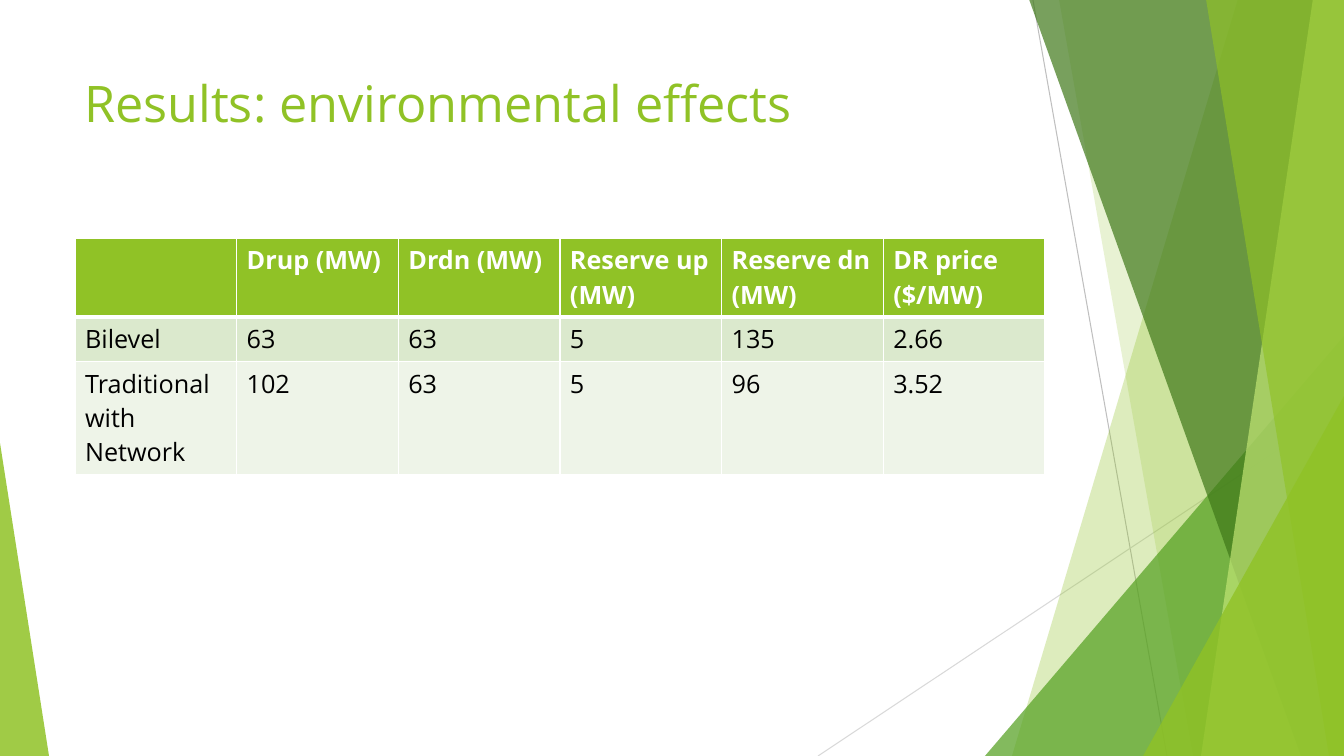
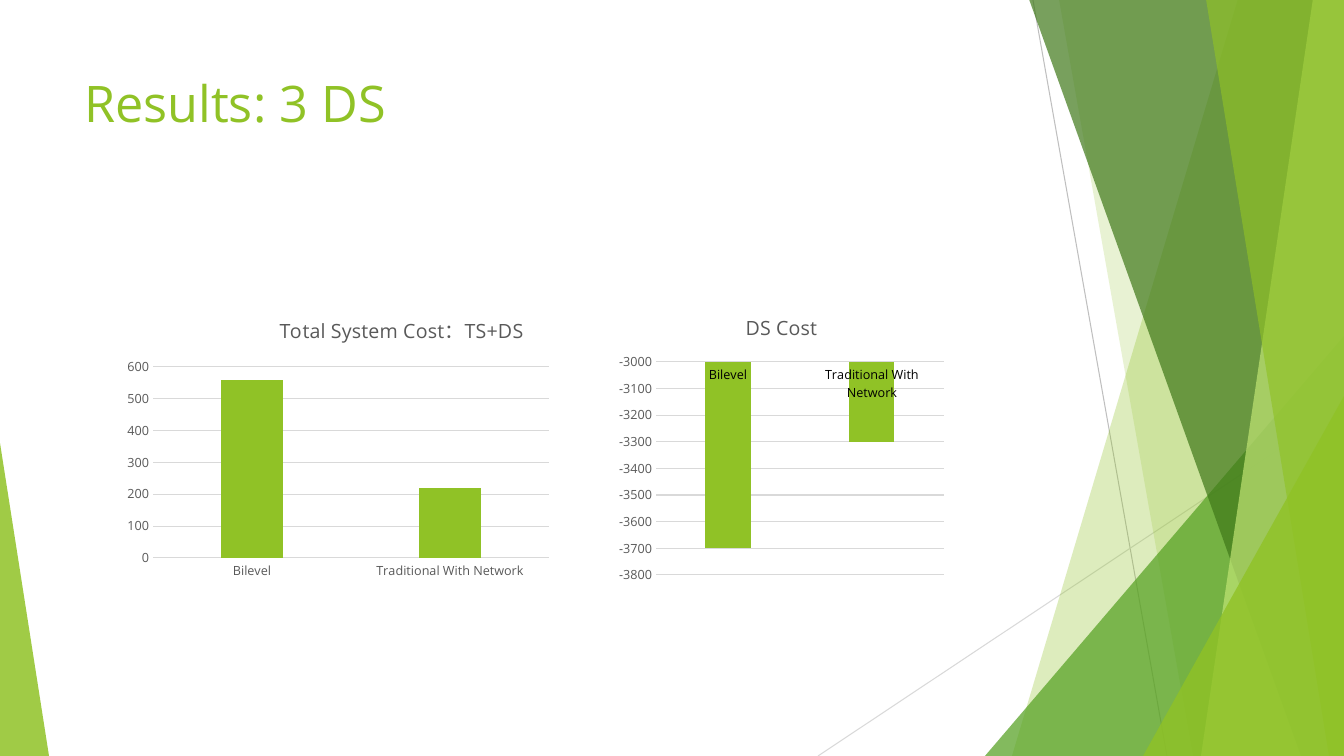
from dataclasses import dataclass

from lxml import etree
from pptx import Presentation
from pptx.chart.data import CategoryChartData
from pptx.dml.color import RGBColor
from pptx.enum.chart import XL_CHART_TYPE, XL_TICK_MARK
from pptx.enum.shapes import MSO_CONNECTOR, MSO_SHAPE
from pptx.enum.text import MSO_ANCHOR, PP_ALIGN
from pptx.oxml.ns import qn
from pptx.util import Pt

COLUMNS = XL_CHART_TYPE.COLUMN_CLUSTERED
NO_TICKS = XL_TICK_MARK.NONE
STRAIGHT = MSO_CONNECTOR.STRAIGHT
TRIANGLE = MSO_SHAPE.ISOSCELES_TRIANGLE
TOP = MSO_ANCHOR.TOP
LEFT = PP_ALIGN.LEFT

SCALE = 914400 / 100.8
WIDTH, HEIGHT = 1344, 756
TITLE_ONLY = 5
TITLE_BOX = (74, 67, 948, 145)


@dataclass(frozen=True)
class Theme:
    """Colours, font, type sizes and line widths of the deck."""
    font: str = "Open Sans"
    lime: str = "90C226"
    green: str = "54A021"
    forest: str = "3F7819"
    pale_lime: str = "C0E474"
    band_dark: str = "DBE9CD"
    band_light: str = "EEF4E8"
    white: str = "FFFFFF"
    black: str = "000000"
    gray: str = "595959"
    rule: str = "BFBFBF"
    grid: str = "D9D9D9"
    title_size: int = 36
    table_size: int = 18
    chart_title_size: int = 14
    chart_size: int = 10
    axis_size: int = 9
    hairline: float = 0.75
    cell_line: int = 1
    header_line: int = 3


THEME = Theme()


def px(length):
    """Turn pixels into EMU."""
    return round(length * SCALE)


def emu(box):
    """Turn a pixel box (left, top, width, height) into EMU."""
    return [px(length) for length in box]


def rgb(color):
    """Turn a hex string into a colour."""
    return RGBColor.from_string(color)


def style_font(font, size, color, bold=None):
    """Apply the deck font with a size, colour and weight."""
    font.name = THEME.font
    font.size = Pt(size)
    font.color.rgb = rgb(color)
    font.bold = bold


def style_line(line, color):
    """Give a line the deck's hairline weight."""
    line.color.rgb = rgb(color)
    line.width = Pt(THEME.hairline)


def paint(sp, color, opacity):
    """Fill a shape with a see-through colour, without outline or shadow."""
    sp.fill.solid()
    sp.fill.fore_color.rgb = rgb(color)
    clr = sp.element.find(".//" + qn("a:srgbClr"))
    etree.SubElement(clr, qn("a:alpha")).set("val", str(opacity * 1000))
    sp.line.fill.background()
    sp.shadow.inherit = False


def add_ray(shapes, start, end, color):
    """Draw a thin straight line."""
    ray = shapes.add_connector(STRAIGHT, *emu(start + end))
    style_line(ray.line, color)
    etree.SubElement(ray.element.find(qn("p:spPr")), qn("a:effectLst"))


def add_band(shapes, top_left, bottom_left, color, opacity):
    """Draw a full-height band from a slanted left edge to the right margin."""
    builder = shapes.build_freeform(top_left, -1, scale=SCALE)
    builder.add_line_segments(
        [(WIDTH, -1), (WIDTH, HEIGHT), (bottom_left, HEIGHT)])
    paint(builder.convert_to_shape(), color, opacity)


def add_wedge(shapes, left, top, width, apex, color, opacity):
    """Draw a right triangle standing on the bottom edge."""
    wedge = shapes.add_shape(
        TRIANGLE, *emu((left, top, width, HEIGHT - top)))
    wedge.adjustments[0] = apex
    paint(wedge, color, opacity)


def decorate_layout(layout, slide):
    """Group the facets on a slide, then hand the group to its layout."""
    group = slide.shapes.add_group_shape()
    shapes = group.shapes
    add_ray(shapes, (1033, 0), (1167, HEIGHT), THEME.rule)
    add_ray(shapes, (WIDTH, 406), (818, HEIGHT), THEME.grid)
    add_band(shapes, 1238, 1012, THEME.lime, 30)
    add_band(shapes, 1059, 1193, THEME.lime, 20)
    add_wedge(shapes, 985, 336, 359, 1, THEME.green, 72)
    add_band(shapes, 1029, 1301, THEME.forest, 70)
    add_band(shapes, 1313, 1201, THEME.pale_lime, 70)
    add_band(shapes, 1206, 1329, THEME.lime, 65)
    add_wedge(shapes, 1143, 396, 201, 1, THEME.lime, 80)
    add_wedge(shapes, 0, 443, 49, 0, THEME.lime, 85)
    tree = layout.shapes.element
    tree.insert(2, group.element)
    for number, node in enumerate(tree.iter(qn("p:cNvPr")), 1):
        node.set("id", str(number))


def set_title(slide, text, box):
    """Place, fill and format the title placeholder."""
    title = slide.shapes.title
    title.left, title.top, title.width, title.height = emu(box)
    tf = title.text_frame
    tf.text = text
    tf.vertical_anchor = TOP
    p = tf.paragraphs[0]
    p.alignment = LEFT
    style_font(p.runs[0].font, THEME.title_size, THEME.lime)


def set_borders(cell, top, bottom):
    """Draw white cell borders, with the top and bottom widths in points."""
    props = cell.fill and cell._tc.get_or_add_tcPr()
    widths = (("L", THEME.cell_line), ("R", THEME.cell_line),
              ("T", top), ("B", bottom))
    for index, (side, width) in enumerate(widths):
        line = etree.Element(qn("a:ln" + side))
        line.set("w", str(Pt(width)))
        fill = etree.SubElement(line, qn("a:solidFill"))
        etree.SubElement(fill, qn("a:srgbClr")).set("val", THEME.white)
        props.insert(index, line)


def add_results_table(slide, rows, left, top, width, row_heights):
    """Add a table with a lime header and alternating bands."""
    cols = len(rows[0])
    box = (left, top, width, sum(row_heights))
    table = slide.shapes.add_table(len(rows), cols, *emu(box)).table
    for i, values in enumerate(rows):
        table.rows[i].height = px(row_heights[i])
        header = i == 0
        band = THEME.band_dark if i % 2 else THEME.band_light
        above = THEME.header_line if i == 1 else THEME.cell_line
        below = THEME.header_line if header else THEME.cell_line
        for cell, value in zip(table.rows[i].cells, values):
            cell.fill.solid()
            cell.fill.fore_color.rgb = rgb(THEME.lime if header else band)
            set_borders(cell, above, below)
            cell.text_frame.text = value
            for r in cell.text_frame.paragraphs[0].runs:
                style_font(r.font, THEME.table_size,
                           THEME.white if header else THEME.black, header)


def set_layout(parent, index, frame, offset, size=None):
    """Fix a chart part at a pixel offset, and size, inside its frame."""
    for old in parent.findall(qn("c:layout")):
        parent.remove(old)
    layout = etree.Element(qn("c:layout"))
    parent.insert(index, layout)
    manual = etree.SubElement(layout, qn("c:manualLayout"))
    width, height = frame[2:]
    entries = [("xMode", "edge"), ("yMode", "edge"),
               ("x", offset[0] / width), ("y", offset[1] / height)]
    if size:
        entries.insert(0, ("layoutTarget", "inner"))
        entries += [("w", size[0] / width), ("h", size[1] / height)]
    for tag, value in entries:
        etree.SubElement(manual, qn("c:" + tag)).set("val", str(value))


def style_axis(axis, color):
    """Give an axis its label style and no tick marks."""
    axis.major_tick_mark = axis.minor_tick_mark = NO_TICKS
    style_font(axis.tick_labels.font, THEME.axis_size, color)


def add_cost_chart(slide, box, title, values, value_range, label_color,
                   title_at, plot_at, plot_size):
    """Add a column chart of one cost for both market models."""
    data = CategoryChartData()
    data.categories = ["Bilevel", "Traditional With Network"]
    data.add_series("Series 1", values)
    chart = slide.shapes.add_chart(COLUMNS, *emu(box), data).chart
    chart.has_legend = False
    style_font(chart.font, THEME.chart_size, THEME.black)

    chart.has_title = True
    tf = chart.chart_title.text_frame
    tf.text = title
    style_font(tf.paragraphs[0].runs[0].font, THEME.chart_title_size,
               THEME.gray, False)
    chart.chart_title.include_in_layout = False

    plot = chart.plots[0]
    plot.vary_by_categories = False
    plot.gap_width, plot.overlap = 219, -27
    series = plot.series[0]
    series.invert_if_negative = False
    series.format.fill.solid()
    series.format.fill.fore_color.rgb = rgb(THEME.lime)

    style_axis(chart.category_axis, label_color)
    style_line(chart.category_axis.format.line, THEME.grid)
    axis = chart.value_axis
    style_axis(axis, THEME.gray)
    axis.minimum_scale, axis.maximum_scale = value_range
    axis.major_unit = 100
    axis.format.line.fill.background()
    style_line(axis.major_gridlines.format.line, THEME.grid)

    root = chart.element
    set_layout(root.find(".//" + qn("c:title")), 1, box, title_at)
    set_layout(root.find(".//" + qn("c:plotArea")), 0, box,
               plot_at, plot_size)


def build_environment_slide(slide):
    """Fill the slide that compares reserves and prices in a table."""
    set_title(slide, "Results: environmental effects", TITLE_BOX)
    rows = [
        ("", "Drup (MW)", "Drdn (MW)", "Reserve up (MW)",
         "Reserve dn (MW)", "DR price ($/MW)"),
        ("Bilevel ", "63", "63", "5", "135", "2.66"),
        ("Traditional with Network", "102", "63", "5", "96", "3.52"),
    ]
    add_results_table(slide, rows, 75, 238, 970, (79, 44, 113))


def build_cost_slide(slide):
    """Fill the slide that compares costs in two charts."""
    set_title(slide, "Results: 3 DS", TITLE_BOX)
    add_cost_chart(slide, (613, 297, 339, 293), "DS Cost", (-3700, -3300),
                   (-3800, -3000), THEME.black,
                   title_at=(129, 12), plot_at=(43, 65), plot_size=(288, 213))
    add_cost_chart(slide, (119, 301, 439, 284), "Total System Cost：TS+DS",
                   (560, 220), (0, 600), THEME.gray,
                   title_at=(157, 8), plot_at=(34, 66), plot_size=(396, 191))


def main():
    """Build and save the deck."""
    prs = Presentation()
    prs.slide_width, prs.slide_height = px(WIDTH), px(HEIGHT)
    layout = prs.slide_layouts[TITLE_ONLY]
    builders = (build_environment_slide, build_cost_slide)
    slides = [prs.slides.add_slide(layout) for _ in builders]
    decorate_layout(layout, slides[0])
    for build, slide in zip(builders, slides):
        build(slide)
    prs.save("out.pptx")


main()
